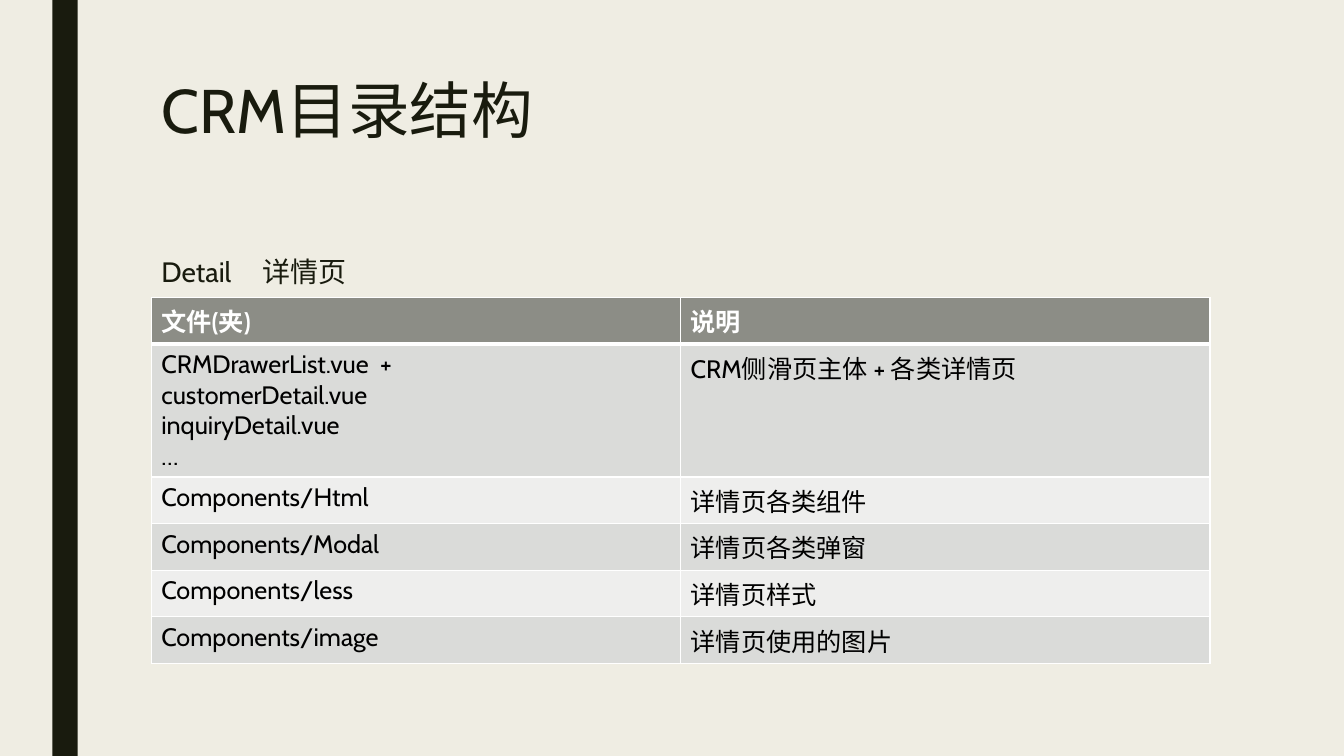
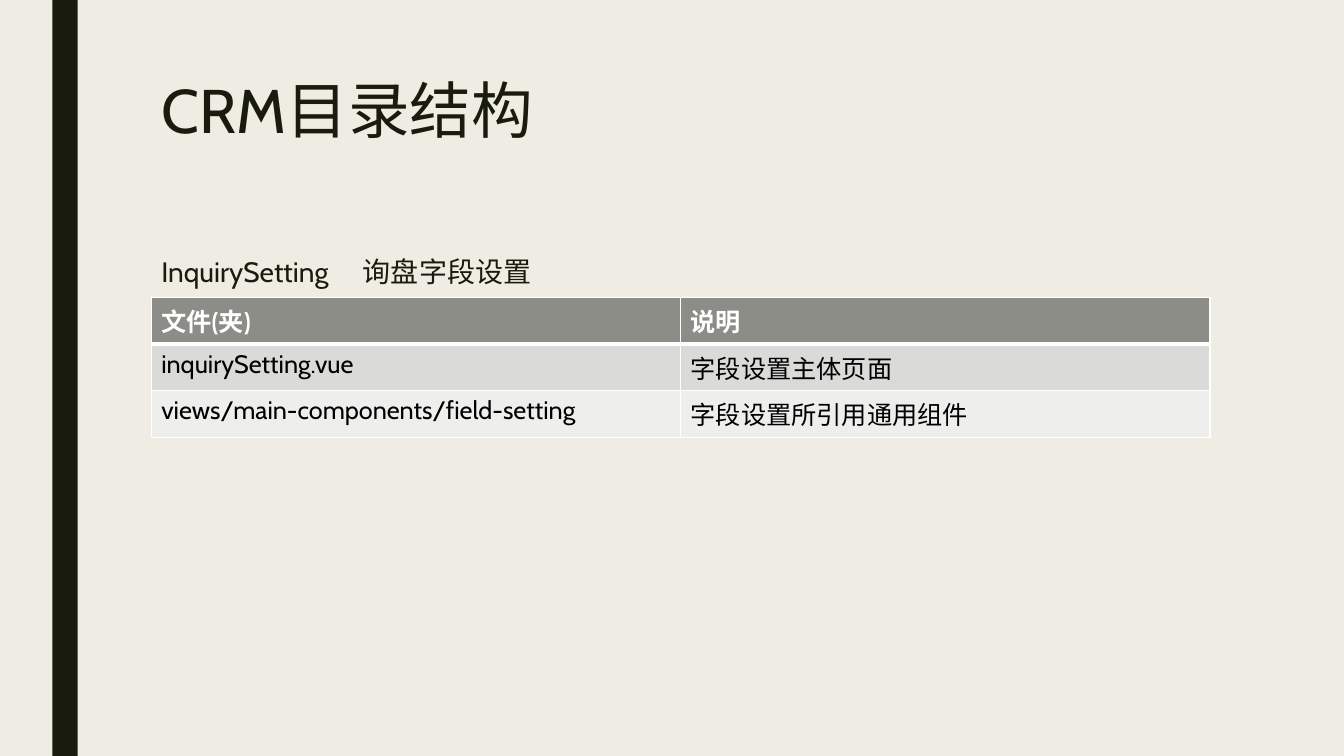
from pptx import Presentation
from pptx.dml.color import RGBColor
from pptx.enum.shapes import MSO_SHAPE
from pptx.enum.text import MSO_ANCHOR, MSO_AUTO_SIZE, PP_ALIGN
from pptx.oxml.ns import qn
from pptx.util import Inches, Pt
from lxml.etree import SubElement

# Shared style
FONT = "Cabin"
CREAM = RGBColor(0xEF, 0xED, 0xE3)
INK = RGBColor(0x19, 0x1B, 0x0E)
WHITE = RGBColor(0xFF, 0xFF, 0xFF)
BLACK = RGBColor(0x00, 0x00, 0x00)
HEADER_GREY = RGBColor(0x8C, 0x8D, 0x86)
ROW_GREYS = (RGBColor(0xDA, 0xDB, 0xD9), RGBColor(0xEE, 0xEE, 0xED))

# Shared grid
SLIDE_W, SLIDE_H = Inches(13.33), Inches(7.5)
LEFT, COL_W, ROW_H = Inches(1.5), Inches(5.25), Inches(0.4)
CONTENT_W = 2 * COL_W
TITLE_TOP, TITLE_H = SLIDE_H // 10, Inches(1.62)
BODY_TOP, BODY_H = SLIDE_H // 3, Inches(3.92)
TABLE_TOP = Inches(2.95)

# Slide content
TITLE = "CRM目录结构"
HEADER = ("文件(夹)", "说明")
SECTIONS = (
    ("Detail\t详情页", (
        ("CRMDrawerList.vue  +\ncustomerDetail.vue\ninquiryDetail.vue\n…",
         "CRM侧滑页主体 + 各类详情页"),
        ("Components/Html", "详情页各类组件"),
        ("Components/Modal", "详情页各类弹窗"),
        ("Components/less", "详情页样式"),
        ("Components/image", "详情页使用的图片"),
    )),
    ("InquirySetting\t询盘字段设置", (
        ("inquirySetting.vue", "字段设置主体页面"),
        ("views/main-components/field-setting", "字段设置所引用通用组件"),
    )),
)


def add_run(p, text, size, color, bold=False):
    r = p.add_run()
    r.text = text
    r.font.name = FONT
    r.font.size = Pt(size)
    r.font.bold = bold
    r.font.color.rgb = color


def place(sp, top, height):
    sp.left, sp.top, sp.width, sp.height = LEFT, top, CONTENT_W, height


def fill_placeholder(sp, text, size, line_spacing):
    tf = sp.text_frame
    tf.word_wrap = True
    tf.auto_size = MSO_AUTO_SIZE.NONE
    tf.vertical_anchor = MSO_ANCHOR.TOP
    p = tf.paragraphs[0]
    p.alignment = PP_ALIGN.LEFT
    p.line_spacing = line_spacing
    add_run(p, text, size, INK)
    return p


def add_subtitle(sp, text):
    p = fill_placeholder(sp, text, 20, 0.94)
    p.space_before, p.space_after = Pt(10), Pt(2)
    # No bullet or indent, one tab stop per inch
    pPr = p._p.get_or_add_pPr()
    for name, value in (("marL", 0), ("indent", 0), ("defTabSz", Inches(1))):
        pPr.set(name, str(value))
    SubElement(pPr, qn("a:buNone"))


def set_borders(cell, bottom):
    tcPr = cell._tc.get_or_add_tcPr()
    widths = (("L", 1), ("R", 1), ("T", 1), ("B", bottom))
    for i, (side, width) in enumerate(widths):
        ln = SubElement(tcPr, qn(f"a:ln{side}"), w=str(Pt(width)))
        fill = SubElement(ln, qn("a:solidFill"))
        SubElement(fill, qn("a:srgbClr"), val=str(WHITE))
        tcPr.insert(i, ln)


def fill_cell(cell, text, fill, color, is_header):
    cell.fill.solid()
    cell.fill.fore_color.rgb = fill
    set_borders(cell, 3 if is_header else 1)
    tf = cell.text_frame
    for i, line in enumerate(text.split("\n")):
        p = tf.add_paragraph() if i else tf.paragraphs[0]
        add_run(p, line, 18, color, is_header)


def add_file_table(s, rows):
    rows = (HEADER, *rows)
    table = s.shapes.add_table(len(rows), len(HEADER), LEFT, TABLE_TOP,
                               CONTENT_W, ROW_H * len(rows)).table
    for col in table.columns:
        col.width = COL_W
    for i, texts in enumerate(rows):
        table.rows[i].height = ROW_H
        is_header = i == 0
        fill = HEADER_GREY if is_header else ROW_GREYS[(i - 1) % 2]
        color = WHITE if is_header else BLACK
        for j, text in enumerate(texts):
            fill_cell(table.cell(i, j), text, fill, color, is_header)


def add_band(s, layout):
    band = s.shapes.add_shape(MSO_SHAPE.RECTANGLE, Inches(0.52), 0,
                              Inches(0.25), SLIDE_H)
    band.shadow.inherit = False
    band.fill.solid()
    band.fill.fore_color.rgb = INK
    band.line.fill.background()
    # Hand the band to the layout, behind its placeholders
    layout.shapes.element.insert(2, band.element)


def style_layout(prs):
    layout = prs.slide_layouts[1]
    bg = prs.slide_master.background.fill
    bg.solid()
    bg.fore_color.rgb = CREAM
    place(layout.placeholders[0], TITLE_TOP, TITLE_H)
    place(layout.placeholders[1], BODY_TOP, BODY_H)
    return layout


def main():
    prs = Presentation()
    prs.slide_width, prs.slide_height = SLIDE_W, SLIDE_H
    layout = style_layout(prs)
    for i, (subtitle, rows) in enumerate(SECTIONS):
        s = prs.slides.add_slide(layout)
        if i == 0:
            add_band(s, layout)
        fill_placeholder(s.shapes.title, TITLE, 44, 0.89)
        add_subtitle(s.placeholders[1], subtitle)
        add_file_table(s, rows)
    prs.save("out.pptx")


if __name__ == "__main__":
    main()
